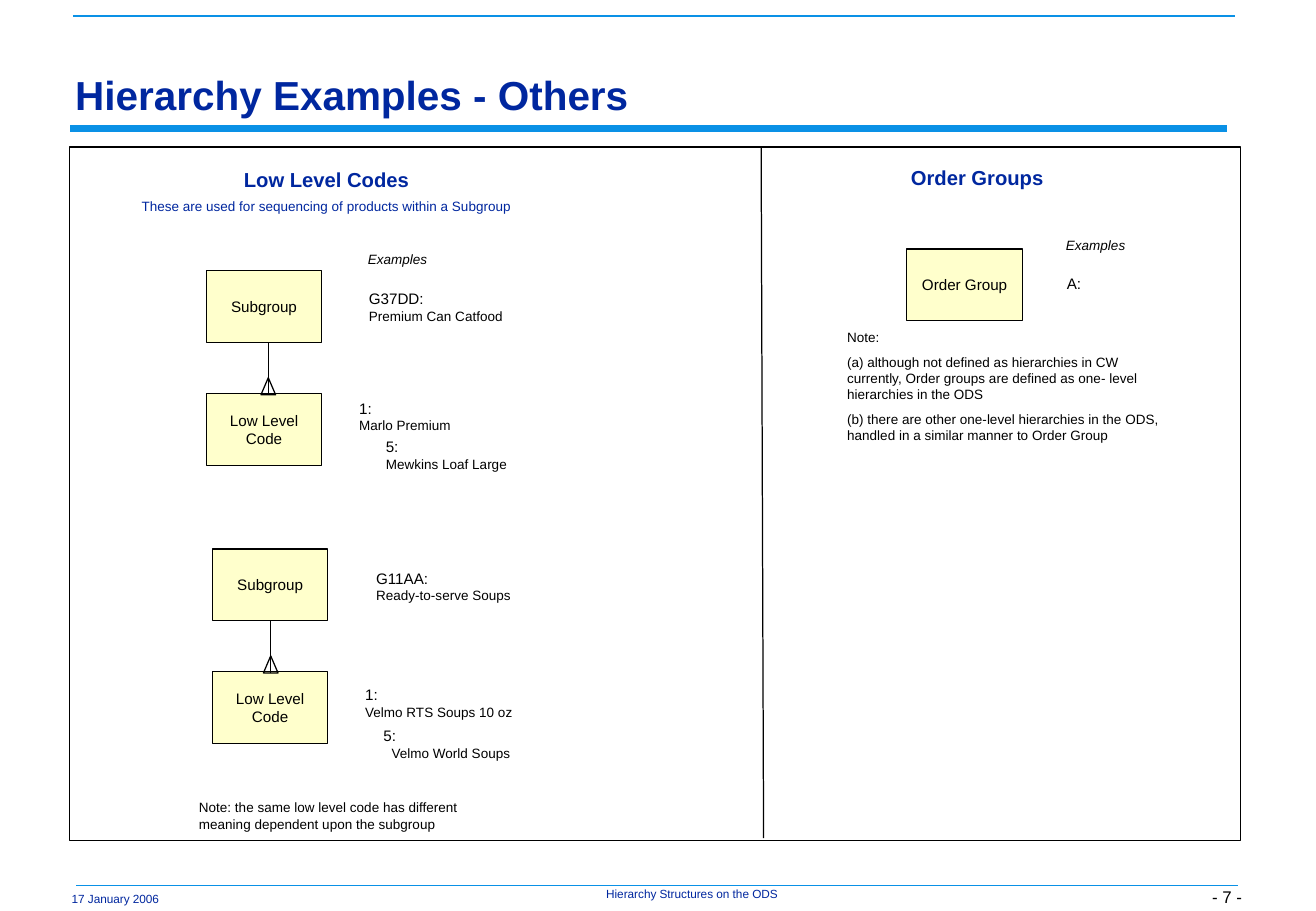
import pptx
import pptx.util
import pptx.dml.color
import pptx.enum.shapes
import pptx.enum.text
import pptx.oxml

Inches = pptx.util.Inches
Pt = pptx.util.Pt
SHAPE = pptx.enum.shapes.MSO_SHAPE
ALIGN = pptx.enum.text.PP_ALIGN
ANCHOR = pptx.enum.text.MSO_ANCHOR

NAVY, BLUE, BLACK, CREAM = "00279F", "0A91E6", "000000", "FFFFCC"
BOX_W, BOX_H = 0.95, 0.59


def color(code):
    return pptx.dml.color.RGBColor.from_string(code)


def write(shape, lines, align=ALIGN.LEFT, anchor=ANCHOR.MIDDLE,
          inset=(0.1, 0.05), gap=0, spacing=None):
    """Each line is (text, size, colour, bold, italic); the last three may be left out."""
    frame = shape.text_frame
    frame.word_wrap = True
    frame.vertical_anchor = anchor
    frame.margin_left = frame.margin_right = Inches(inset[0])
    frame.margin_top = frame.margin_bottom = Inches(inset[1])
    for i, line in enumerate(lines):
        words, size, tint, bold, slant = line + (BLACK, False, False)[len(line) - 2:]
        para = frame.add_paragraph() if i else frame.paragraphs[0]
        para.alignment = align
        if i and gap:
            para.space_before = Pt(gap)
        if spacing:
            para.line_spacing = spacing
        run = para.add_run()
        run.text = words
        run.font.name = "Arial"
        run.font.size = Pt(size)
        run.font.bold = bold
        run.font.italic = slant
        run.font.color.rgb = color(tint)


def label(slide, x, y, w, h, lines, **style):
    box = slide.shapes.add_textbox(Inches(x), Inches(y), Inches(w), Inches(h))
    write(box, lines, **style)


def rule(slide, x1, y1, x2, y2, tint=BLACK, width=0.75):
    line = slide.shapes.add_connector(
        pptx.enum.shapes.MSO_CONNECTOR.STRAIGHT,
        Inches(x1), Inches(y1), Inches(x2), Inches(y2))
    line.line.color.rgb = color(tint)
    line.line.width = Pt(width)
    line._element.spPr.append(pptx.oxml.parse_xml(
        '<a:effectLst xmlns:a="http://schemas.openxmlformats.org/drawingml/2006/main"/>'))


def outline(slide, kind, x, y, w, h, fill=None):
    shape = slide.shapes.add_shape(kind, Inches(x), Inches(y), Inches(w), Inches(h))
    shape.shadow.inherit = False
    if fill:
        shape.fill.solid()
        shape.fill.fore_color.rgb = color(fill)
    else:
        shape.fill.background()
    shape.line.color.rgb = color(BLACK)
    shape.line.width = Pt(0.75)
    return shape


def node(slide, x, y, name):
    shape = outline(slide, SHAPE.RECTANGLE, x, y, BOX_W, BOX_H, CREAM)
    write(shape, [(name, 9)], align=ALIGN.CENTER)


def tree(slide, x, y, stem):
    """Subgroup above its low level codes, joined by a crow's foot."""
    node(slide, x, y, "Subgroup")
    node(slide, x, y + 1.01, "Low Level Code")
    rule(slide, stem, y + BOX_H, stem, y + 1.02)
    outline(slide, SHAPE.ISOSCELES_TRIANGLE, stem - 0.06, y + 0.88, 0.12, 0.14)


def sample(slide, x, y, code, name):
    label(slide, x, y, 1.6, 0.39, [(code, 9), (name, 8)])


def heading(slide, x, y):
    label(slide, x, y, 0.85, 0.24, [("Examples", 8, BLACK, False, True)],
          align=ALIGN.CENTER)


def border(slide):
    # Rules, footer and title
    rule(slide, 0.6, 0.13, 10.17, 0.13, BLUE, 1)
    rule(slide, 0.58, 1.06, 10.11, 1.06, BLUE, 4)
    rule(slide, 0.63, 7.29, 10.2, 7.29, BLUE, 1)
    label(slide, 0.45, 7.29, 1, 0.22, [("17 January 2006", 7, NAVY)],
          align=ALIGN.CENTER)
    label(slide, 4.8, 7.31, 1.8, 0.11, [("Hierarchy Structures on the ODS", 7, NAVY)],
          align=ALIGN.CENTER, anchor=ANCHOR.TOP, inset=(0, 0), spacing=0.9)
    label(slide, 9.7, 7.11, 0.6, 0.39, [("- 7 -", 10)],
          align=ALIGN.RIGHT, anchor=ANCHOR.BOTTOM, inset=(0.07, 0.03))
    label(slide, 0.55, 0.58, 9.63, 0.44,
          [("Hierarchy Examples - Others", 24, NAVY, True)],
          anchor=ANCHOR.BOTTOM, inset=(0.07, 0.03), spacing=0.97)

    # Frame with two panels
    outline(slide, SHAPE.RECTANGLE, 0.57, 1.21, 9.65, 5.71)
    rule(slide, 6.27, 1.21, 6.29, 6.9)


def codes(slide):
    # Left panel: low level codes
    label(slide, 0.92, 1.32, 3.54, 0.5,
          [("Low Level Codes", 12, NAVY, True),
           ("These are used for sequencing of products within a Subgroup", 8, NAVY)],
          align=ALIGN.CENTER, gap=3.6)
    heading(slide, 2.85, 2.01)
    tree(slide, 1.7, 2.23, 2.21)
    tree(slide, 1.75, 4.52, 2.23)
    for x, y, code, name in [
        (2.94, 2.33, "G37DD:", "Premium Can Catfood"),
        (2.86, 3.23, "1:", "Marlo Premium"),
        (3.08, 3.55, "5:", "Mewkins Loaf Large"),
        (3, 4.63, "G11AA:", "Ready-to-serve Soups"),
        (2.91, 5.59, "1:", "Velmo RTS Soups 10 oz"),
    ]:
        sample(slide, x, y, code, name)
    # The last sample has its name set further in than its code
    label(slide, 3.06, 5.93, 1.31, 0.25, [("5:", 9)])
    label(slide, 3.06, 6.08, 1.31, 0.24, [("Velmo World Soups", 8)],
          align=ALIGN.CENTER)
    label(slide, 1.54, 6.53, 2.78, 0.37,
          [("Note: the same low level code has different meaning "
            "dependent upon the subgroup", 8)])


def orders(slide):
    # Right panel: order groups
    label(slide, 7.3, 1.31, 1.5, 0.3, [("Order Groups", 12, NAVY, True)],
          align=ALIGN.CENTER)
    node(slide, 7.47, 2.05, "Order Group")
    heading(slide, 8.6, 1.9)
    label(slide, 8.69, 2.21, 0.5, 0.25, [("A:", 9)])
    label(slide, 6.88, 2.66, 2.78, 1.04,
          [("Note:", 8),
           ("(a) although not defined as hierarchies in CW currently, Order groups "
            "are defined as one- level hierarchies in the ODS", 8),
           ("(b) there are other one-level hierarchies in the ODS, handled in a "
            "similar manner to Order Group", 8)], gap=5)


def main():
    deck = pptx.Presentation()
    deck.slide_width = Inches(10.84)
    deck.slide_height = Inches(7.5)
    slide = deck.slides.add_slide(deck.slide_layouts[6])
    border(slide)
    codes(slide)
    orders(slide)
    deck.save("out.pptx")


if __name__ == "__main__":
    main()
